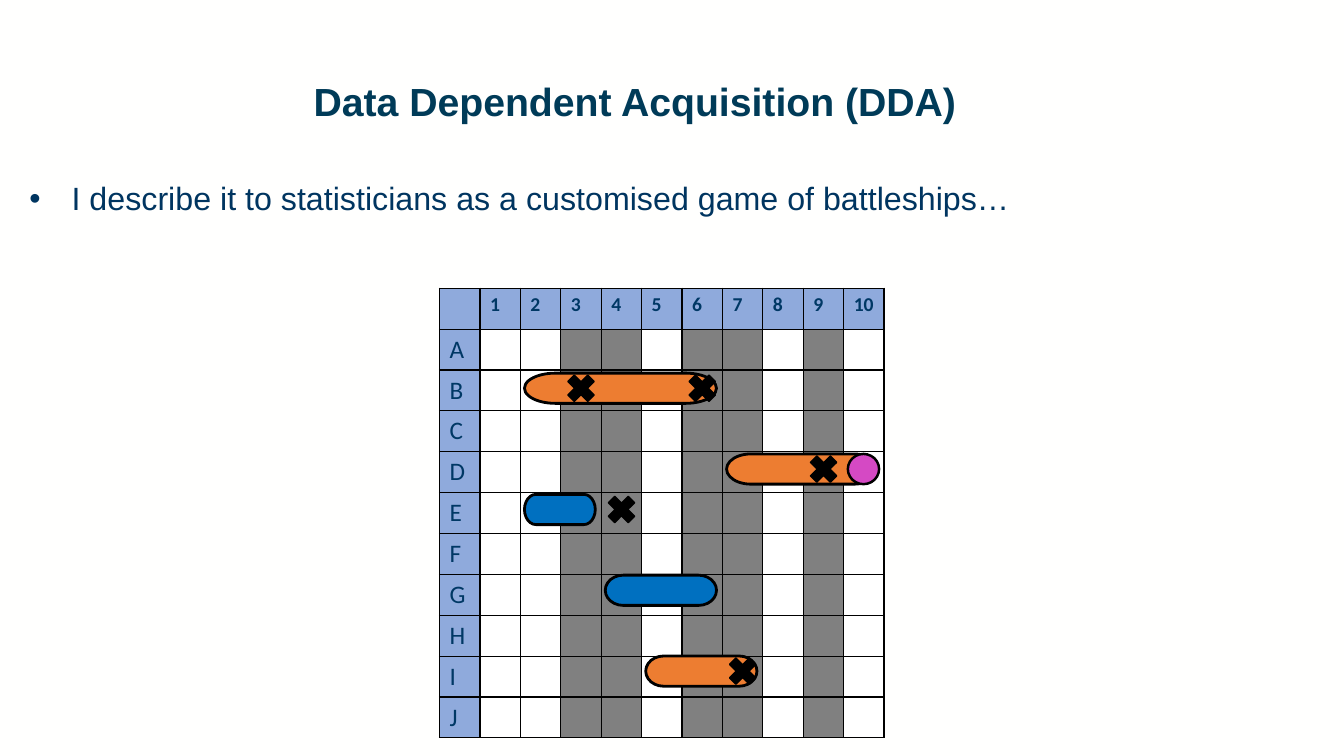
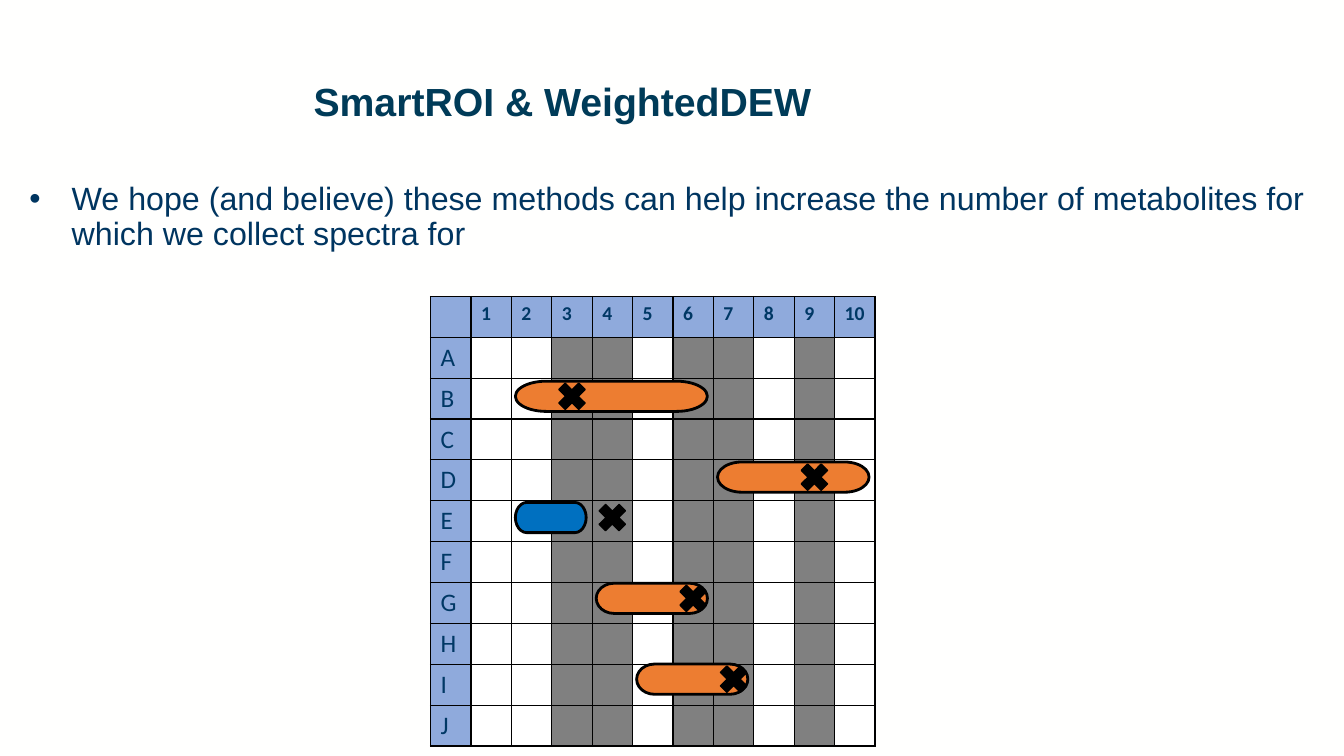
from dataclasses import dataclass

from lxml.etree import SubElement
from pptx import Presentation
from pptx.dml.color import RGBColor
from pptx.enum.shapes import MSO_SHAPE
from pptx.enum.text import MSO_ANCHOR, MSO_AUTO_SIZE, PP_ALIGN
from pptx.oxml.ns import qn
from pptx.util import Inches, Pt


# Colours, fonts and type sizes
@dataclass(frozen=True)
class Theme:
    back: str = "FFFFFE"
    title: str = "003B58"
    body: str = "003560"
    label: str = "003865"
    head: str = "8FAADC"
    free: str = "FFFFFF"
    shade: str = "808080"
    hit: str = "ED7D31"
    miss: str = "0070C0"
    disk: str = "D549C4"
    ink: str = "000000"
    font: str = "Arial"
    grid_font: str = "Calibri"
    title_size: float = 28
    body_size: float = 23
    head_size: float = 14
    row_size: float = 18


THEME = Theme()
ROWS = "ABCDEFGHIJ"
SIZE = len(ROWS) + 1
SIDE = 4.41
CELL = SIDE / SIZE
SHADED = {3, 4, 6, 7, 9}


@dataclass(frozen=True)
class Ship:
    row: str
    col: int
    span: int
    fill: str = THEME.hit


@dataclass(frozen=True)
class Mark:
    row: str
    col: int


@dataclass(frozen=True)
class Page:
    title: str
    text: str
    depth: float
    left: float
    top: float
    ships: tuple[Ship, ...]
    marks: tuple[Mark, ...]
    disks: tuple[Mark, ...] = ()


# Ships and shots found on both boards
SHIPS = (Ship("I", 5, 3), Ship("E", 2, 2, THEME.miss),
         Ship("D", 7, 4), Ship("B", 2, 5))
MARKS = (Mark("E", 4), Mark("I", 7), Mark("B", 3), Mark("D", 9))

PAGES = (
    Page("Data Dependent Acquisition (DDA)",
         "I describe it to statisticians as a customised game of battleships…",
         0.72, 4.36, 2.86,
         (Ship("G", 4, 3, THEME.miss), *SHIPS),
         (*MARKS, Mark("B", 6)), (Mark("D", 10),)),
    Page("SmartROI & WeightedDEW",
         "We hope (and believe) these methods can help increase the number "
         "of metabolites for which we collect spectra for",
         5.61, 4.27, 2.94,
         (Ship("G", 4, 3), *SHIPS), (*MARKS, Mark("G", 6))),
)


def rgb(code: str) -> RGBColor:
    return RGBColor.from_string(code)


def add_run(para, text: str, font: str, size: float, color: str,
            bold: bool = False) -> None:
    run = para.add_run()
    run.text = text
    run.font.name = font
    run.font.size = Pt(size)
    run.font.bold = bold
    run.font.color.rgb = rgb(color)


# Title and body placeholders
def place(shape, left: float, top: float, width: float, height: float):
    shape.left, shape.top = Inches(left), Inches(top)
    shape.width, shape.height = Inches(width), Inches(height)
    frame = shape.text_frame
    frame.word_wrap = True
    frame.auto_size = MSO_AUTO_SIZE.NONE
    frame.vertical_anchor = MSO_ANCHOR.TOP
    para = frame.paragraphs[0]
    para.alignment = PP_ALIGN.LEFT
    para.line_spacing = 0.9
    para.space_before = Pt(0)
    return para


def add_bullet(para) -> None:
    props = para._p.get_or_add_pPr()
    props.set("marL", str(Inches(0.42)))
    props.set("indent", str(-Inches(0.42)))
    SubElement(props, qn("a:buFont")).set("typeface", THEME.font)
    SubElement(props, qn("a:buChar")).set("char", "•")


def add_text(slide, page: Page) -> None:
    para = place(slide.shapes.title, 3.01, 0.77, 10.07, 0.97)
    add_run(para, page.title, THEME.font, THEME.title_size, THEME.title, True)
    para = place(slide.placeholders[1], 0.19, 1.76, 12.89, page.depth)
    add_bullet(para)
    para.space_after = Pt(6.7)
    add_run(para, page.text, THEME.font, THEME.body_size, THEME.body)


# Board
def add_edges(cell) -> None:
    props = cell._tc.get_or_add_tcPr()
    for edge in ("lnL", "lnR", "lnT", "lnB"):
        line = SubElement(props, qn(f"a:{edge}"))
        line.set("w", str(Pt(1)))
        fill = SubElement(line, qn("a:solidFill"))
        SubElement(fill, qn("a:srgbClr")).set("val", THEME.ink)


def add_board(slide, page: Page) -> None:
    table = slide.shapes.add_table(
        SIZE, SIZE, Inches(page.left), Inches(page.top),
        Inches(SIDE), Inches(SIDE)).table
    table.first_row = table.horz_banding = False
    for row in range(SIZE):
        table.rows[row].height = table.columns[row].width = Inches(CELL)
        for col in range(SIZE):
            cell = table.cell(row, col)
            add_edges(cell)
            fill = THEME.shade if col in SHADED else THEME.free
            if row == 0 or col == 0:
                fill = THEME.head
            cell.fill.solid()
            cell.fill.fore_color.rgb = rgb(fill)
            para = cell.text_frame.paragraphs[0]
            if row == 0 and col:
                add_run(para, str(col), THEME.grid_font, THEME.head_size,
                        THEME.label, True)
            elif row and col == 0:
                add_run(para, ROWS[row - 1], THEME.grid_font, THEME.row_size,
                        THEME.label)


# Pieces, set by board row and column
def add_piece(slide, page: Page, kind: MSO_SHAPE, spot: Ship | Mark,
              inset: tuple[float, float], size: tuple[float, float],
              fill: str, line: float) -> None:
    left = page.left + spot.col * CELL + inset[0]
    top = page.top + (ROWS.index(spot.row) + 1) * CELL + inset[1]
    shape = slide.shapes.add_shape(kind, Inches(left), Inches(top),
                                   Inches(size[0]), Inches(size[1]))
    shape.shadow.inherit = False
    shape.fill.solid()
    shape.fill.fore_color.rgb = rgb(fill)
    shape.line.color.rgb = rgb(THEME.ink)
    shape.line.width = Pt(line)


def add_pieces(slide, page: Page) -> None:
    for ship in page.ships:
        add_piece(slide, page, MSO_SHAPE.FLOWCHART_TERMINATOR, ship,
                  (0.04, 0.04), (ship.span * CELL - 0.1, 0.3), ship.fill, 2)
    for disk in page.disks:
        add_piece(slide, page, MSO_SHAPE.OVAL, disk,
                  (0.04, 0.04), (0.31, 0.3), THEME.disk, 1.75)
    for mark in page.marks:
        add_piece(slide, page, MSO_SHAPE.MATH_MULTIPLY, mark,
                  (0.01, 0), (0.38, 0.38), THEME.ink, 1)


def main() -> None:
    deck = Presentation()
    deck.slide_width, deck.slide_height = Inches(13.33), Inches(7.5)
    back = deck.slide_master.background.fill
    back.solid()
    back.fore_color.rgb = rgb(THEME.back)
    for page in PAGES:
        slide = deck.slides.add_slide(deck.slide_layouts[1])
        add_text(slide, page)
        add_board(slide, page)
        add_pieces(slide, page)
    deck.save("out.pptx")


if __name__ == "__main__":
    main()
